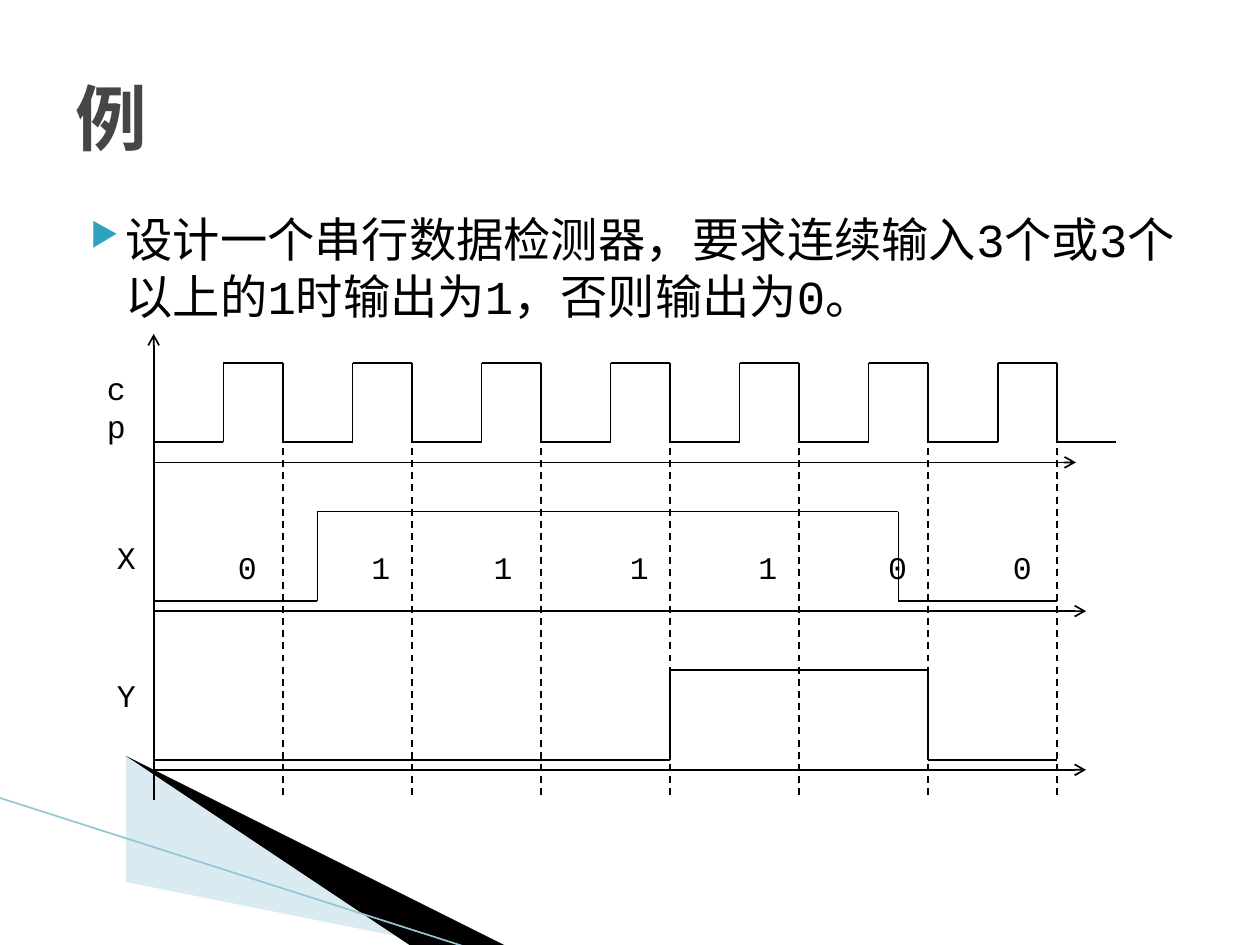
from itertools import pairwise

from lxml import etree
from pptx import Presentation
from pptx import util as u
from pptx.dml.color import RGBColor
from pptx.enum import dml, shapes, text
from pptx.oxml.ns import qn

BLACK = RGBColor(0, 0, 0)
GREY = RGBColor(0x46, 0x46, 0x46)
TEAL = RGBColor(0x2D, 0xA2, 0xBF)
PALE = RGBColor(0xA0, 0xCB, 0xDC)
EDGE = RGBColor(0x97, 0xC5, 0xD8)
FONT = "Courier New"

TITLE = "例"
TASK = "设计一个串行数据检测器，要求连续输入3个或3个以上的1时输出为1，否则输出为0。"
BITS = [("0", 1.79), ("1", 2.85), ("1", 3.82), ("1", 4.9),
        ("1", 5.92), ("0", 6.95), ("0", 7.94)]
NAMES = [("X", 4.22), ("Y", 5.32)]
AXES = [(3.67, 8.54), (4.85, 8.62), (6.11, 8.62)]
WEDGES = [
    (PALE, 40, [(0.55, 6.51), (5.95, 7.51), (4.56, 7.51), (0.55, 6.5)]),
    (BLACK, 100, [(0.53, 6.49), (4.57, 7.51), (3.72, 7.52), (0.54, 6.5)]),
]

LEFT, FOOT, STEP, PULSE = 1.22, 6.35, 1.024, 0.47
HIGH, LOW = 2.88, 3.51
FALLS = [LEFT + STEP * n for n in range(1, 8)]
END = FALLS[-1]

prs = Presentation()
prs.slide_width, prs.slide_height = u.Inches(10), u.Inches(7.5)
slide = prs.slides.add_slide(prs.slide_layouts[6])


def add(root, tag, **attrs):
    return etree.SubElement(root, qn(tag), attrs)


def write(words, x, y, w, h, size=18, color=BLACK, bold=False, wrap=False,
          anchor=text.MSO_ANCHOR.TOP, bullet=None):
    box = slide.shapes.add_textbox(*map(u.Inches, (x, y, w, h)))
    frame = box.text_frame
    frame.word_wrap, frame.vertical_anchor = wrap, anchor
    par = frame.paragraphs[0]
    if bullet:
        props = par._p.get_or_add_pPr()
        props.set("marL", str(u.Inches(0.4)))
        props.set("indent", str(u.Inches(-0.28)))
        add(add(props, "a:buClr"), "a:srgbClr", val=str(TEAL))
        add(props, "a:buSzPct", val="68000")
        add(props, "a:buChar", char=bullet)
    run = par.add_run()
    run.text = words
    font = run.font
    font.name, font.size, font.bold = FONT, u.Pt(size), bold
    font.color.rgb = color


def rule(start, end, color=BLACK, width=1, dash=False, arrow=False):
    line = slide.shapes.add_connector(
        shapes.MSO_CONNECTOR.STRAIGHT, *map(u.Inches, (*start, *end)))
    line.line.color.rgb, line.line.width = color, u.Pt(width)
    if dash:
        line.line.dash_style = dml.MSO_LINE.DASH
    if arrow:
        add(line.line._get_or_add_ln(), "a:tailEnd", type="arrow")
    add(line._element.spPr, "a:effectLst")


def wave(points):
    for start, end in pairwise(points):
        rule(start, end)


def wedge(color, alpha, points):
    path = slide.shapes.build_freeform(*points[0], scale=u.Inches(1))
    path.add_line_segments(points[1:], close=True)
    shape = path.convert_to_shape()
    shape.shadow.inherit = False
    shape.fill.solid()
    shape.fill.fore_color.rgb = color
    shape.line.fill.background()
    if alpha < 100:
        tint = shape._element.spPr.find(".//" + qn("a:srgbClr"))
        add(tint, "a:alpha", val=str(alpha * 1000))


for item in WEDGES:
    wedge(*item)
rule((-0.01, 6.33), (3.71, 7.52), color=EDGE, width=0.95)

write(TASK, 0.5, 1.62, 9, 1.34, size=27, wrap=True, bullet="▶")
write(TITLE, 0.5, 0.3, 9, 1.25, size=41, color=GREY, bold=True, wrap=True,
      anchor=text.MSO_ANCHOR.MIDDLE)

rule((LEFT, FOOT), (LEFT, 2.65), arrow=True)
for y, right in AXES:
    rule((LEFT, y), (right, y), arrow=True)

clock = [(LEFT, LOW)]
for x in FALLS:
    clock += [(x - PULSE, LOW), (x - PULSE, HIGH), (x, HIGH), (x, LOW)]
    rule((x, HIGH), (x, FOOT), dash=True)
wave(clock + [(END + PULSE, LOW)])

for low, high, rise, fall in [(4.77, 4.06, 2.52, 7.13),
                              (6.03, 5.32, FALLS[3], FALLS[5])]:
    wave([(LEFT, low), (rise, low), (rise, high),
          (fall, high), (fall, low), (END, low)])

for bit, x in BITS:
    write(bit, x, 4.3, 0.36, 0.4)
for name, y in NAMES:
    write(name, 0.83, y, 0.36, 0.4)
write("cp", 0.75, 2.88, 0.4, 0.7, wrap=True)

prs.save("out.pptx")
